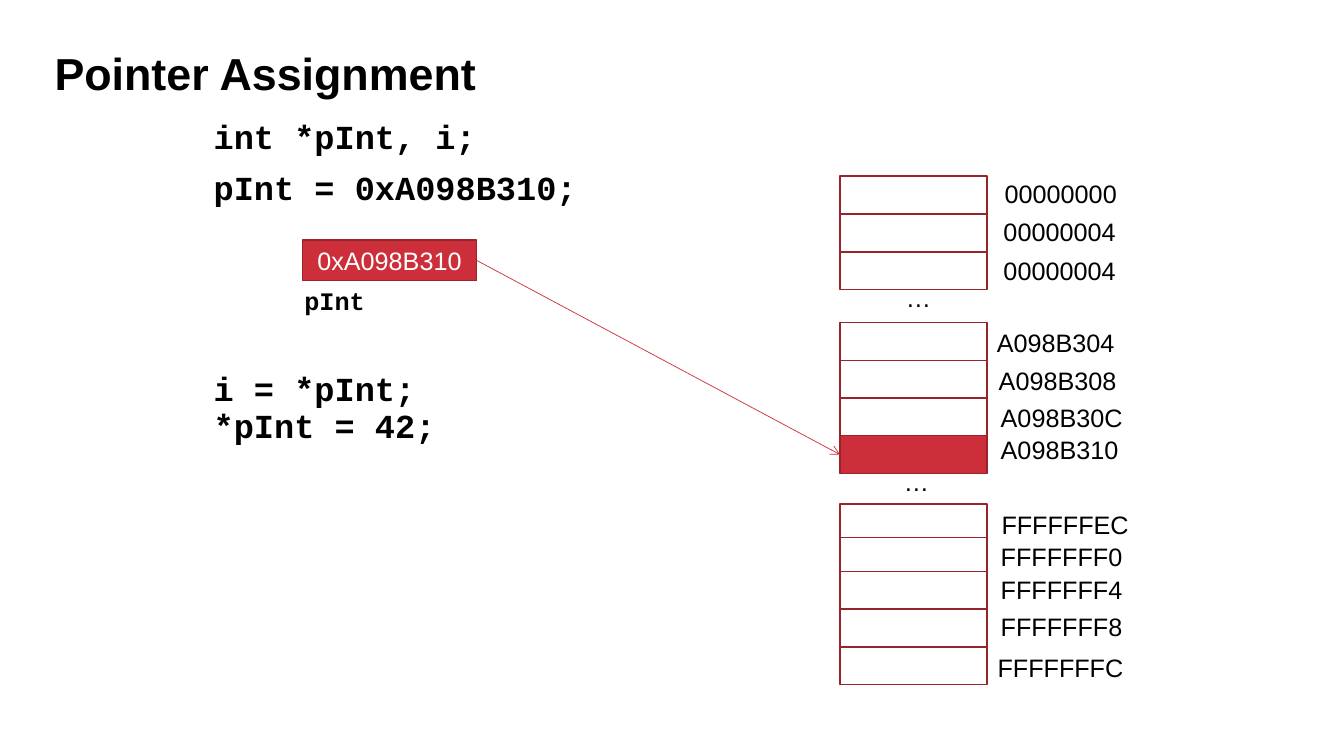
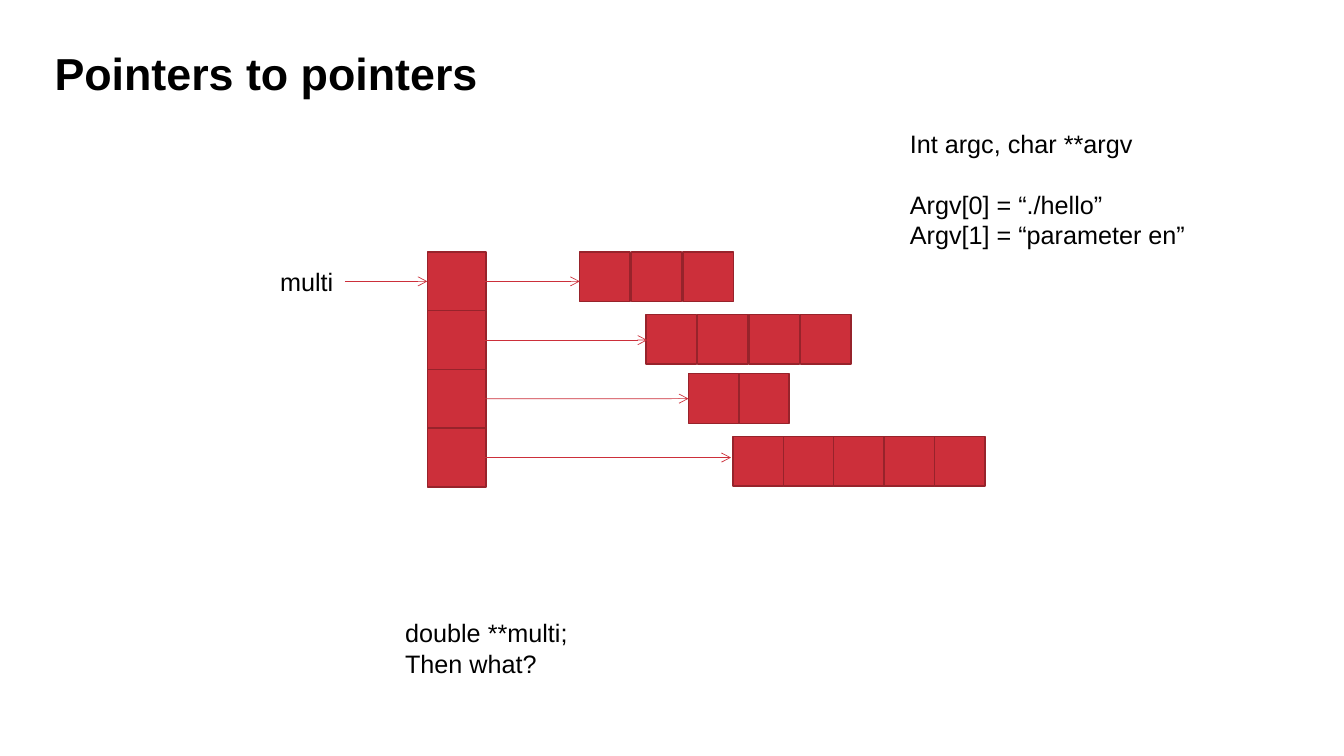
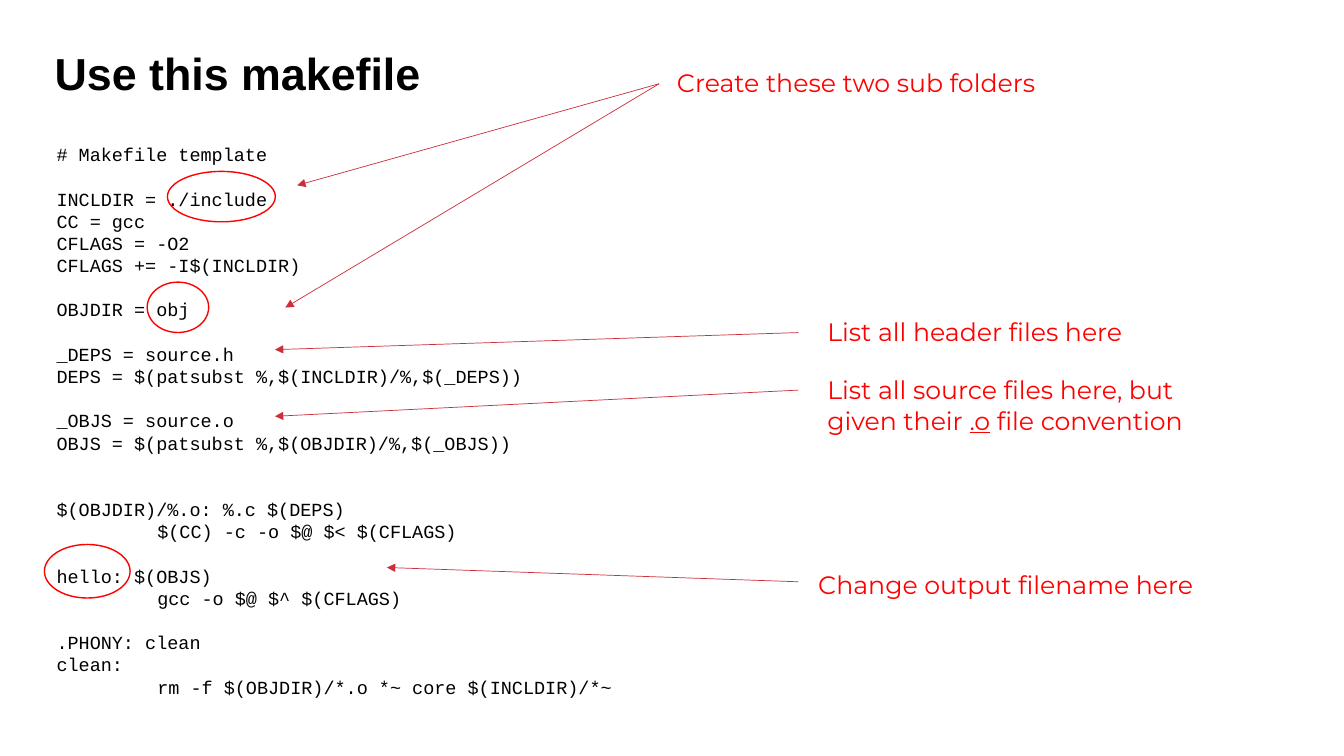
from dataclasses import dataclass
from lxml.etree import SubElement as Sub
from pptx import Presentation
from pptx.dml.color import RGBColor
from pptx.enum.shapes import MSO_CONNECTOR as Link, MSO_SHAPE as Form
from pptx.enum.text import MSO_ANCHOR as Anchor, MSO_AUTO_SIZE as Auto, PP_ALIGN as Align
from pptx.oxml.ns import qn
from pptx.util import Cm, Pt

RED = RGBColor(0xCC, 0x2F, 0x3A)
DARK = RGBColor(0x97, 0x23, 0x2B)
ALERT = RGBColor(0xFF, 0, 0)
BLACK = RGBColor(0, 0, 0)
WHITE = RGBColor(0xFF, 0xFF, 0xFF)

HEAD = dict(name="Arial", size=Pt(32), bold=True)
PLAIN = dict(name="Arial", size=Pt(18), bold=False)
NOTE = dict(name="Montserrat", size=Pt(18), bold=False)
CODE = dict(name="Courier New", size=Pt(24), bold=True)
LABEL = dict(name="Courier New", size=Pt(18), bold=True)
MAKE = dict(name="Courier New", size=Pt(13.2), bold=False)

RULES = """# Makefile template

INCLDIR = ./include
CC = gcc
CFLAGS = -O2
CFLAGS += -I$(INCLDIR)

OBJDIR = obj

_DEPS = source.h
DEPS = $(patsubst %,$(INCLDIR)/%,$(_DEPS))

_OBJS = source.o
OBJS = $(patsubst %,$(OBJDIR)/%,$(_OBJS))


$(OBJDIR)/%.o: %.c $(DEPS)
    $(CC) -c -o $@ $< $(CFLAGS)

hello: $(OBJS)
    gcc -o $@ $^ $(CFLAGS)

.PHONY: clean
clean:
    rm -f $(OBJDIR)/*.o *~ core $(INCLDIR)/*~"""


@dataclass
class Line:
    text: str
    before: float = 0
    inset: float = 0
    under: str = ""


def apply(item, values):
    for key, value in values.items():
        setattr(item, key, value)


class Deck:
    def __init__(self):
        self.show = Presentation()
        apply(self.show, dict(slide_width=Cm(33.87), slide_height=Cm(19.05)))
        self.slide = None

    def start(self, title, layout=1):
        self.slide = self.show.slides.add_slide(self.show.slide_layouts[layout])
        head = self.slide.shapes.title
        self.place(head, (1.12, 1.17, 25.07, 2.84))
        self.fill(head.text_frame, [Line(title)], HEAD, space=0.9)

    def place(self, shape, box):
        apply(shape, dict(zip(("left", "top", "width", "height"), map(Cm, box))))
        apply(shape.text_frame, dict(word_wrap=True, auto_size=Auto.NONE,
                                     vertical_anchor=Anchor.TOP))

    def fill(self, frame, lines, style, color=BLACK, align=Align.LEFT, space=1.0):
        for i, line in enumerate(lines):
            para = frame.paragraphs[0] if i == 0 else frame.add_paragraph()
            apply(para, dict(alignment=align, line_spacing=space,
                             space_before=Pt(line.before)))
            props = para._p.get_or_add_pPr()
            props.set("marL", str(Cm(line.inset)))
            props.set("indent", "0")
            Sub(props, qn("a:buNone"))
            parts = line.text.partition(line.under) if line.under else [line.text]
            for part in parts:
                run = para.add_run()
                run.text = part
                apply(run.font, style)
                run.font.color.rgb = color
                if part == line.under:
                    run.font.underline = True

    def body(self, box, lines, style, space=1.0):
        shape = self.slide.placeholders[1]
        self.place(shape, box)
        self.fill(shape.text_frame, lines, style, space=space)

    def text(self, box, lines, style=PLAIN, color=BLACK, wrap=False):
        shape = self.slide.shapes.add_textbox(*map(Cm, box))
        apply(shape.text_frame, dict(word_wrap=wrap, auto_size=Auto.SHAPE_TO_FIT_TEXT))
        if isinstance(lines, str):
            lines = [Line(lines)]
        self.fill(shape.text_frame, lines, style, color)
        return shape

    def shape(self, box, paint=RED, line=DARK, form=Form.RECTANGLE, text=""):
        shape = self.slide.shapes.add_shape(form, *map(Cm, box))
        shape.shadow.inherit = False
        if paint is None:
            shape.fill.background()
        else:
            shape.fill.solid()
            shape.fill.fore_color.rgb = paint
        shape.line.color.rgb = line
        shape.line.width = Pt(1)
        if text:
            shape.text_frame.vertical_anchor = Anchor.MIDDLE
            self.fill(shape.text_frame, [Line(text)], PLAIN, WHITE, Align.CENTER)
        return shape

    def arrow(self, start, end, head="arrow"):
        joins = [hasattr(spot[0], "shape_id") for spot in (start, end)]
        spots = [(0, 0) if join else spot for join, spot in zip(joins, (start, end))]
        link = self.slide.shapes.add_connector(
            Link.STRAIGHT, *(Cm(n) for spot in spots for n in spot))
        if joins[0]:
            link.begin_connect(*start)
        if joins[1]:
            link.end_connect(*end)
        link.line.color.rgb = RED
        link.line.width = Pt(0.5)
        Sub(link.line._get_or_add_ln(), qn("a:tailEnd"), type=head)
        Sub(link._element.spPr, qn("a:effectLst"))

    def ring(self, box):
        self.shape(box, None, ALERT, Form.OVAL)


def assign(deck):
    deck.start("Pointer Assignment")
    deck.body((5.08, 2.92, 10.59, 14.6), [
        Line("int *pInt, i;", 0, 0.05), Line("pInt = 0xA098B310;", 10, 0.05),
        Line("i = *pInt;", 118, 0.05), Line("*pInt = 42;", 0, 0.05)], CODE, 0.9)
    holder = deck.shape((7.62, 6.05, 4.39, 1.02), text="0xA098B310")
    deck.text((7.42, 7.06, 2.34, 1.02), "pInt", LABEL, wrap=True)
    for top, name, left, high, wide in (
            (4.44, "00000000", 25.07, 4.37, 3.35),
            (5.39, "00000004", 25.04, 5.33, 3.35),
            (6.35, "00000004", 25.04, 6.32, 3.35),
            (8.13, "A098B304", 24.87, 8.13, 3.51),
            (9.08, "A098B308", 24.92, 9.09, 3.51),
            (10.03, "A098B30C", 24.97, 10.01, 3.61),
            (10.98, "A098B310", 24.97, 10.82, 3.51),
            (12.7, "FFFFFFEC", 24.99, 12.7, 3.76),
            (13.55, "FFFFFFF0", 24.97, 13.51, 3.61),
            (14.4, "FFFFFFF4", 24.97, 14.35, 3.61),
            (15.35, "FFFFFFF8", 24.97, 15.29, 3.61),
            (16.3, "FFFFFFFC", 24.89, 16.31, 3.71)):
        hit = name == "A098B310"
        cell = deck.shape((21.17, top, 3.71, 0.95), RED if hit else WHITE)
        if hit:
            deck.arrow((holder, 3), (cell, 1))
        deck.text((left, high, wide, 1.02), name)
    for left, top in ((22.58, 6.99), (22.53, 11.63)):
        deck.text((left, top, 1.35, 1.02), "…", wrap=True)


def nest(deck):
    deck.start("Pointers to pointers", 5)
    size, left, top = 1.48, 10.77, 6.35
    slots = [deck.shape((left, top + size * i, size, size)) for i in range(4)]
    name = deck.text((6.81, 6.58, 1.88, 1.02), "multi")
    deck.arrow((name, 3), (slots[0], 1))
    rows = ((14.61, 6.35, 1.3, 3, 14.61), (16.28, 7.92, 1.3, 4, 16.31),
            (17.35, 9.42, 1.27, 2, None), (18.47, 11, 1.27, 5, 18.42))
    for i, (x, y, step, count, tip) in enumerate(rows):
        cells = [deck.shape((x + step * n, y, 1.27, 1.25)) for n in range(count)]
        mid = top + size * (i + 0.5)
        deck.arrow((left + size / 2, mid), (tip, mid) if tip else (cells[0], 1))
    deck.text((9.96, 15.44, 4.65, 1.8), [Line("double **multi;"), Line("Then what?")])
    deck.text((22.68, 3.12, 10.03, 3.33), [
        Line("Int argc, char **argv"), Line("Argv[0] = “./hello”", 21.6),
        Line("Argv[1] = “parameter en”")], wrap=True)


def build(deck):
    deck.start("Use this makefile")
    lines, gap = [], 0
    for row in RULES.split("\n"):
        if row:
            inset = 2.59 if row.startswith(" ") else 0.05
            lines.append(Line(row.strip(), gap * 15.84, inset))
            gap = 0
        else:
            gap += 1
    deck.body((1.12, 3.48, 29.82, 15.26), lines, MAKE)
    for box in ((4.22, 4.32, 2.72, 1.27), (3.71, 7.11, 1.55, 1.27),
                (1.12, 13.72, 2.16, 1.35)):
        deck.ring(box)
    for start, end in (((16.61, 2.11), (7.49, 4.67)), ((16.61, 2.11), (7.19, 7.75)),
                       ((20.12, 8.38), (6.93, 8.81)), ((20.12, 9.83), (6.93, 10.49)),
                       ((20.12, 14.66), (9.75, 14.3))):
        deck.arrow(start, end, "triangle")
    for box, note in (
            ((16.81, 1.57, 10.67, 1.02), "Create these two sub folders"),
            ((20.6, 7.85, 9.04, 1.02), "List all header files here"),
            ((20.6, 9.32, 10.69, 1.8), [
                Line("List all source files here, but"),
                Line("given their .o file convention", under=".o")]),
            ((20.37, 14.22, 10.67, 1.02), "Change output filename here")):
        deck.text(box, note, NOTE, ALERT)


def main():
    deck = Deck()
    for page in (assign, nest, build):
        page(deck)
    deck.show.save("out.pptx")


if __name__ == "__main__":
    main()
